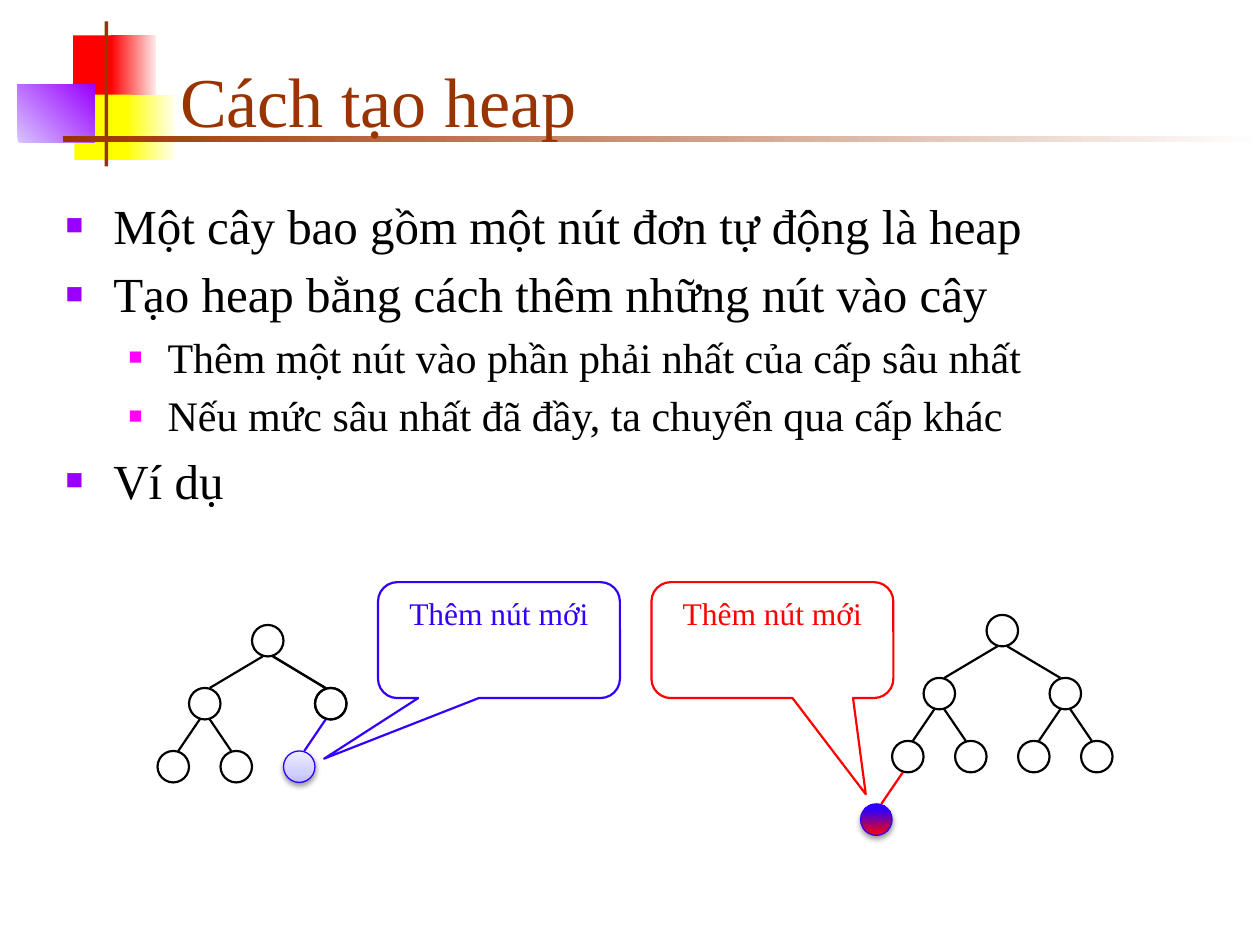
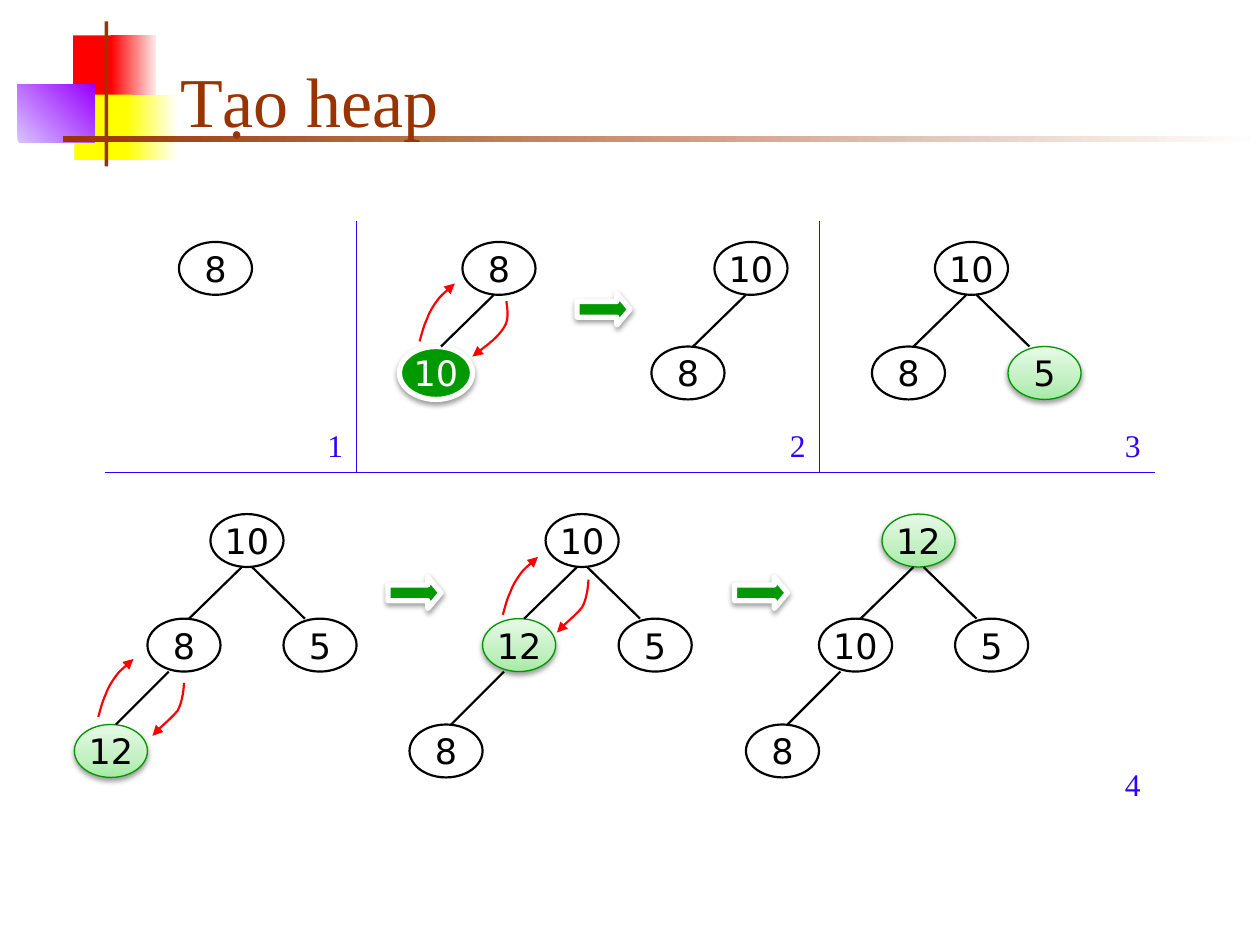
from lxml.etree import SubElement
from pptx import Presentation
from pptx.dml.color import RGBColor
from pptx.enum.shapes import MSO_CONNECTOR, MSO_SHAPE as SHAPE
from pptx.enum.text import MSO_ANCHOR as ANCHOR, MSO_AUTO_SIZE as FIT, PP_ALIGN as ALIGN
from pptx.oxml.ns import qn
from pptx.util import Inches, Pt

SERIF, SANS = "Times New Roman", "DejaVu Sans"
BLACK, WHITE, RED, YELLOW = "000000", "FFFFFF", "FF0000", "FFFF00"
BROWN, BLUE, PURPLE, PINK, GREEN = "993300", "3300FF", "9900FF", "FF00FF", "009900"

PALE_GREEN = (90, [(0, "A5EBA5"), (35, "C1F0C1"), (100, "E7FAE7")])
PALE_BLUE = (90, [(0, "BFBDFF"), (35, "D2D1FF"), (100, "EEEEFF")])
RED_TO_BLUE = (90, [(0, RED), (80, "3100F7"), (100, "3200F8")])

NODE_STYLES = {
    "plain": (None, BLACK, 1.25, False, BLACK),
    "fresh": (PALE_GREEN, "009600", 0.75, True, BLACK),
    "solid": (GREEN, WHITE, 3, True, WHITE),
}

BAND = [
    (0.58, 0.28, 0.35, 0.52, RED),
    (0.88, 0.28, 0.36, 0.52, (0, [(0, RED), (100, "FFEAEA")])),
    (0.59, 0.75, 0.46, 0.52, YELLOW),
    (1, 0.75, 0.4, 0.52, (0, [(0, YELLOW), (100, "FFFFF8")])),
    (0.14, 0.67, 0.61, 0.46, (45, [(0, "D8C4FF"), (100, PURPLE)])),
    (0.83, 0.17, 0.03, 1.15, BROWN),
    (0.5, 1.08, 9.5, 0.05, (0, [(0, BROWN), (100, WHITE)])),
]

SMALL_SLOTS = [(0, 0), (-0.5, 0.5), (0.5, 0.5), (-0.75, 1), (-0.25, 1),
               (0.25, 1), (0.75, 1), (-1, 1.5)]
VALUE_SLOTS = [
    ((0, 0), None),
    ((-0.5, 0.83), (0.25, 0.42, -0.17, 0.83)),
    ((0.58, 0.83), (0.33, 0.42, 0.75, 0.83)),
    ((-1.08, 1.67), (-0.33, 1.25, -0.75, 1.67)),
]

RISE = [(0.01, -0.03), (0.03, -0.12), (0.06, -0.18), (0.08, -0.24), (0.12, -0.3),
        (0.16, -0.35), (0.2, -0.39), (0.26, -0.44), (0.28, -0.46)]
FALL = [(0, 0.03), (-0.01, 0.15), (-0.05, 0.22), (-0.1, 0.28), (-0.21, 0.37), (-0.25, 0.42)]
WIDE_FALL = [(0, 0.03), (0.03, 0.14), (-0.02, 0.21), (-0.07, 0.29), (-0.22, 0.4), (-0.27, 0.44)]


def rgb(color):
    return RGBColor.from_string(color)


def box(*lengths):
    return [Inches(v) for v in lengths]


def sub(parent, tag, **attrs):
    return SubElement(parent, qn(tag), {k: str(v) for k, v in attrs.items()})


class Deck:
    def __init__(self):
        self.prs = Presentation()
        self.prs.slide_width, self.prs.slide_height = box(10, 7.5)
        self.s = None

    def slide(self, layout, title):
        first = self.s is None
        self.s = self.prs.slides.add_slide(self.prs.slide_layouts[layout])
        if first:
            self.band()
        sp = self.s.shapes.title
        sp.left, sp.top, sp.width, sp.height = box(1.33, 0.25, 8.52, 0.92)
        tf = sp.text_frame
        tf.auto_size, tf.vertical_anchor = FIT.NONE, ANCHOR.BOTTOM
        self.run(tf.paragraphs[0], title, 40, BROWN, align=ALIGN.LEFT)

    def band(self):
        tree = self.prs.slide_master.shapes.element
        for i, (x, y, w, h, fill) in enumerate(BAND):
            el = self.shape(SHAPE.RECTANGLE, x, y, w, h, fill).element
            el.xpath(".//p:cNvPr")[0].set("id", str(100 + i))
            tree.insert(2 + i, el)

    def run(self, p, text, size, color, font=SERIF, align=None):
        p.alignment = align
        r = p.add_run()
        r.text = text
        r.font.size, r.font.name = Pt(size), font
        r.font.color.rgb = rgb(color)

    def paint(self, sp, fill=None, line=None, width=1.25, shadow=False):
        sp.shadow.inherit = False
        if fill is None:
            sp.fill.background()
        elif isinstance(fill, str):
            sp.fill.solid()
            sp.fill.fore_color.rgb = rgb(fill)
        else:
            angle, stops = fill
            sp.fill.gradient()
            sp.fill.gradient_angle = angle
            gs_list = sp.element.spPr.find(qn("a:gradFill")).find(qn("a:gsLst"))
            for old in list(gs_list):
                gs_list.remove(old)
            for pos, color in stops:
                sub(sub(gs_list, "a:gs", pos=pos * 1000), "a:srgbClr", val=color)
        if line:
            sp.line.color.rgb = rgb(line)
            sp.line.width = Pt(width)
        else:
            sp.line.fill.background()
        if shadow:
            effects = sp.element.spPr.find(qn("a:effectLst"))
            outer = sub(effects, "a:outerShdw", blurRad=Pt(3.1), dist=Pt(1.6),
                        dir=5400000, rotWithShape=0)
            sub(sub(outer, "a:srgbClr", val=BLACK), "a:alpha", val=38000)

    def shape(self, kind, x, y, w, h, *style):
        sp = self.s.shapes.add_shape(kind, *box(x, y, w, h))
        self.paint(sp, *style)
        return sp

    def line(self, x1, y1, x2, y2, color=BLACK, width=1.25):
        c = self.s.shapes.add_connector(MSO_CONNECTOR.STRAIGHT, *box(x1, y1, x2, y2))
        c.line.color.rgb = rgb(color)
        c.line.width = Pt(width)
        sub(c.element.spPr, "a:effectLst")

    def bullets(self, items):
        sp = self.s.placeholders[1]
        sp.left, sp.top, sp.width, sp.height = box(0.42, 1.5, 9.38, 5.21)
        tf = sp.text_frame
        tf.auto_size = FIT.NONE
        for i, (level, text) in enumerate(items):
            p = tf.add_paragraph() if i else tf.paragraphs[0]
            size, color, scale, left, hang = [
                (28, PURPLE, 60, 0.38, 0.38), (24, PINK, 55, 0.81, 0.31)][level]
            self.run(p, text, size, BLACK)
            p.level = level
            pPr = p._p.get_or_add_pPr()
            pPr.set("marL", str(Inches(left)))
            pPr.set("indent", str(-Inches(hang)))
            sub(sub(pPr, "a:buClr"), "a:srgbClr", val=color)
            sub(pPr, "a:buSzPct", val=scale * 1000)
            sub(pPr, "a:buFont", typeface="Arial")
            sub(pPr, "a:buChar", char="■")

    def small_tree(self, x, y, count, new, new_fill, new_line):
        def dot(i, *style):
            dx, dy = SMALL_SLOTS[i]
            self.shape(SHAPE.OVAL, x + dx, y + dy, 0.25, 0.25, *style)

        def edge(i, color):
            (cx, cy), (px, py) = SMALL_SLOTS[i], SMALL_SLOTS[(i - 1) // 2]
            lean = 0.04 if px > cx else -0.04
            self.line(x + cx + 0.125 + lean, y + cy, x + px + 0.125 - lean, y + py + 0.25, color)

        for i in range(count):
            dot(i, None, BLACK)
            if i:
                edge(i, BLACK)
        dot(new, new_fill, "3200F9", 0.75, True)
        edge(new, new_line)

    def callout(self, x, text, color, tip):
        sp = self.shape(SHAPE.ROUNDED_RECTANGULAR_CALLOUT, x, 4.62, 1.92, 0.92, None, color)
        for i, value in enumerate((*tip, 0.167)):
            sp.adjustments[i] = value
        tf = sp.text_frame
        tf.word_wrap, tf.vertical_anchor = True, ANCHOR.TOP
        self.run(tf.paragraphs[0], text, 18, color, align=ALIGN.CENTER)

    def node(self, x, y, text, style="plain"):
        *look, color = NODE_STYLES[style]
        tf = self.shape(SHAPE.OVAL, x, y, 0.58, 0.42, *look).text_frame
        tf.word_wrap, tf.vertical_anchor = False, ANCHOR.MIDDLE
        self.run(tf.paragraphs[0], text, 20, color, SANS, ALIGN.CENTER)

    def value_tree(self, x, y, values, marked=None, style="fresh"):
        for i, (value, ((dx, dy), edge)) in enumerate(zip(values, VALUE_SLOTS)):
            self.node(x + dx, y + dy, value, style if i == marked else "plain")
            if edge:
                x1, y1, x2, y2 = edge
                self.line(x + x1, y + y1, x + x2, y + y2)

    def curve(self, x, y, offsets):
        fb = self.s.shapes.build_freeform(*box(x, y))
        fb.add_line_segments([box(x + dx, y + dy) for dx, dy in offsets], close=False)
        sp = fb.convert_to_shape()
        self.paint(sp, None, RED)
        spPr = sp.element.spPr
        sub(spPr.find(qn("a:ln")), "a:tailEnd", type="triangle")
        path = spPr.xpath(".//a:path")[0]
        segments = path.findall(qn("a:lnTo"))
        for i in range(0, len(segments), 3):
            bezier = sub(path, "a:cubicBezTo")
            for seg in segments[i:i + 3]:
                bezier.append(seg[0])
                path.remove(seg)

    def swap(self, rise, fall, fall_offsets=FALL):
        self.curve(*rise, RISE)
        self.curve(*fall, fall_offsets)

    def step_arrow(self, x, y):
        sp = self.shape(SHAPE.RIGHT_ARROW, x, y, 0.42, 0.25, GREEN, WHITE, 3, True)
        sp.adjustments[1] = 0.417

    def number(self, x, y, text):
        tf = self.s.shapes.add_textbox(*box(x, y, 0.42, 0.4)).text_frame
        tf.word_wrap, tf.auto_size = True, FIT.SHAPE_TO_FIT_TEXT
        self.run(tf.paragraphs[0], text, 18, BLUE)


deck = Deck()
deck.slide(1, "Cách tạo heap")
deck.bullets([
    (0, "Một cây bao gồm một nút đơn tự động là heap"),
    (0, "Tạo heap bằng cách thêm những nút vào cây"),
    (1, "Thêm một nút vào phần phải nhất của cấp sâu nhất"),
    (1, "Nếu mức sâu nhất đã đầy, ta chuyển qua cấp khác"),
    (0, "Ví dụ"),
])
deck.small_tree(7.83, 4.88, 7, 7, RED_TO_BLUE, RED)
deck.small_tree(2, 4.96, 5, 5, PALE_BLUE, BLUE)
deck.line(2.17, 5.21, 2.58, 5.46)
deck.shape(SHAPE.OVAL, 2.5, 5.46, 0.25, 0.25, None, BLACK)
deck.callout(3, "Thêm nút mới", BLUE, (-0.723, 1.023))
deck.callout(5.17, "Thêm nút mới", RED, (0.386, 1.33))

deck.slide(5, "Tạo heap")
deck.line(0.83, 3.75, 9.17, 3.75, BLUE, 0.5)
for x in (2.83, 6.5):
    deck.line(x, 1.75, x, 3.75, BLUE, 0.5)

deck.value_tree(1.42, 1.92, ["8"])
deck.value_tree(3.67, 1.92, ["8", "10"], 1, "solid")
deck.value_tree(5.67, 1.92, ["10", "8"])
deck.value_tree(7.42, 1.92, ["10", "8", "5"], 2)
deck.value_tree(1.67, 4.08, ["10", "8", "5", "12"], 3)
deck.value_tree(4.33, 4.08, ["10", "12", "5", "8"], 1)
deck.value_tree(7, 4.08, ["12", "10", "5", "8"], 0)

deck.swap((3.33, 2.71), (4.02, 2.39), WIDE_FALL)
deck.swap((0.78, 5.69), (1.46, 5.42))
deck.swap((3.99, 4.88), (4.67, 4.6))
for x, y in [(4.58, 2.33), (3.08, 4.58), (5.83, 4.58)]:
    deck.step_arrow(x, y)
for i, (x, y) in enumerate([(2.5, 3.33), (6.17, 3.33), (8.83, 3.33), (8.83, 6.02)], 1):
    deck.number(x, y, str(i))

deck.prs.save("out.pptx")
